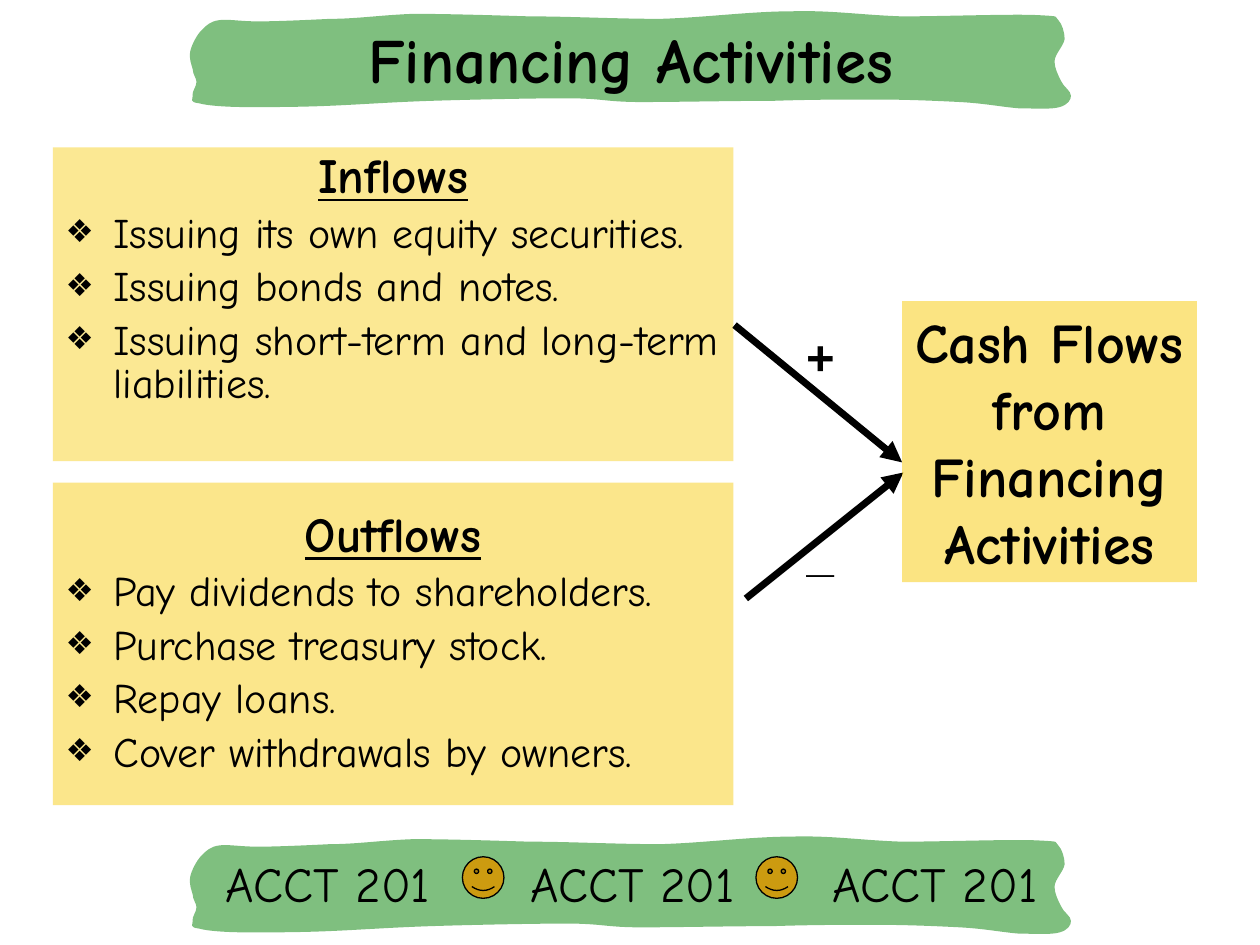
from lxml.etree import SubElement
from pptx import Presentation
from pptx.dml.color import RGBColor
from pptx.enum.shapes import MSO_CONNECTOR, MSO_SHAPE
from pptx.enum.text import MSO_ANCHOR, MSO_AUTO_SIZE, PP_ALIGN
from pptx.oxml.ns import qn
from pptx.util import Inches, Pt

BLACK = RGBColor(0x00, 0x00, 0x00)
GREEN = RGBColor(0x00, 0x80, 0x00)
YELLOW = RGBColor(0xF8, 0xCB, 0x0A)
GOLD = RGBColor(0xCC, 0x9B, 0x10)
FONT = "Comic Neue"

# Banner outline in inches from its corner: a start, then cubic curves
START = (5.45, 0.71)
CURVES = [
    (5.2, 0.71, 4.95, 0.71, 4.64, 0.72), (4.33, 0.72, 3.86, 0.73, 3.59, 0.73),
    (3.31, 0.73, 3.28, 0.7, 3.0, 0.7), (2.73, 0.7, 2.25, 0.71, 1.93, 0.72),
    (1.62, 0.73, 1.35, 0.75, 1.11, 0.76), (0.87, 0.77, 0.65, 0.77, 0.48, 0.77),
    (0.31, 0.77, 0.15, 0.76, 0.08, 0.74), (0.0, 0.73, 0.03, 0.71, 0.03, 0.68),
    (0.02, 0.65, 0.06, 0.61, 0.06, 0.57), (0.06, 0.54, 0.03, 0.51, 0.03, 0.47),
    (0.02, 0.43, 0.0, 0.39, 0.01, 0.33), (0.02, 0.28, 0.06, 0.2, 0.1, 0.16),
    (0.14, 0.12, 0.17, 0.09, 0.24, 0.08), (0.31, 0.07, 0.4, 0.09, 0.55, 0.09),
    (0.69, 0.09, 0.91, 0.08, 1.12, 0.07), (1.33, 0.07, 1.52, 0.04, 1.78, 0.03),
    (2.04, 0.03, 2.37, 0.04, 2.7, 0.05), (3.02, 0.05, 3.39, 0.07, 3.74, 0.07),
    (4.09, 0.06, 4.46, 0.01, 4.78, 0.01), (5.1, 0.0, 5.34, 0.04, 5.66, 0.05),
    (5.99, 0.05, 6.53, 0.03, 6.73, 0.04), (6.94, 0.05, 6.86, 0.05, 6.9, 0.08),
    (6.93, 0.11, 6.95, 0.18, 6.95, 0.23), (6.94, 0.29, 6.87, 0.35, 6.87, 0.41),
    (6.87, 0.46, 6.9, 0.52, 6.92, 0.56), (6.94, 0.61, 7.0, 0.64, 7.0, 0.68),
    (7.0, 0.71, 6.98, 0.75, 6.91, 0.77), (6.84, 0.79, 6.72, 0.78, 6.59, 0.78),
    (6.46, 0.77, 6.31, 0.74, 6.12, 0.73), (5.93, 0.72, 5.69, 0.71, 5.45, 0.71),
]


def place(shape, left, top, width, height):
    shape.left, shape.top = Inches(left), Inches(top)
    shape.width, shape.height = Inches(width), Inches(height)


def paint(shape, color, alpha):
    """Fill with a see-through colour and no line."""
    shape.fill.solid()
    shape.fill.fore_color.rgb = color
    tint = shape.fill._xPr.find(qn("a:solidFill"))[0]
    SubElement(tint, qn("a:alpha"), val=str(alpha * 1000))
    shape.line.fill.background()


def style(para, size, gap, bold=False, align=PP_ALIGN.CENTER, font=FONT):
    para.alignment = align
    para.space_before = Pt(gap)
    for run in para.runs:
        run.font.name = font
        run.font.size = Pt(size)
        run.font.bold = bold
        run.font.color.rgb = BLACK


def set_frame(shape, anchor=MSO_ANCHOR.TOP):
    frame = shape.text_frame
    frame.word_wrap = True
    frame.auto_size = MSO_AUTO_SIZE.NONE
    frame.vertical_anchor = anchor
    return frame


def bend(shape):
    """Turn each three straight segments into one cubic curve."""
    path = shape._element.spPr.find(".//" + qn("a:path"))
    lines = path.findall(qn("a:lnTo"))
    for i in range(0, len(lines), 3):
        curve = SubElement(path, qn("a:cubicBezTo"))
        for line in lines[i:i + 3]:
            curve.append(line[0])
            path.remove(line)
    path.append(path.find(qn("a:close")))


def add_banner(shapes, left, top):
    pen = shapes.build_freeform(Inches(START[0]), Inches(START[1]))
    pen.add_line_segments([(Inches(c[i]), Inches(c[i + 1]))
                           for c in CURVES for i in (0, 2, 4)])
    banner = pen.convert_to_shape(Inches(left), Inches(top))
    bend(banner)
    banner.shadow.inherit = False
    paint(banner, GREEN, 50)
    return banner


def add_head(slide, left, top):
    banner = add_banner(slide.shapes, left, top)
    title = slide.shapes.title
    title._element.addprevious(banner._element)
    place(title, left + 0.17, top + 0.09, 6.67, 0.58)
    frame = set_frame(title, MSO_ANCHOR.MIDDLE)
    frame.text = "Financing Activities"
    style(frame.paragraphs[0], 36, 9, bold=True)


def add_foot(slide, left, top):
    shapes = slide.shapes.add_group_shape().shapes
    add_banner(shapes, left, top)
    box = shapes.add_textbox(
        *map(Inches, (left + 0.17, top + 0.09, 6.67, 0.58)))
    frame = set_frame(box, MSO_ANCHOR.MIDDLE)
    frame.text = "\t".join(["ACCT 201"] * 3)
    para = frame.paragraphs[0]
    style(para, 28, 7, align=PP_ALIGN.LEFT)
    props = para._p.get_or_add_pPr()
    props.set("marL", str(Inches(0.02)))
    tabs = SubElement(props, qn("a:tabLst"))
    for col in (1, 2):
        SubElement(tabs, qn("a:tab"), pos=str(Inches(0.02 + 2.4 * col)), algn="l")
    for x in (2.17, 4.5):
        face = shapes.add_shape(
            MSO_SHAPE.SMILEY_FACE,
            *map(Inches, (left + x, top + 0.17, 0.33, 0.33)))
        face.adjustments[0] = 0.093
        face.shadow.inherit = False
        face.fill.solid()
        face.fill.fore_color.rgb = GOLD
        face.line.color.rgb = BLACK
        face.line.width = Pt(0.75)


def add_flows(body, box, alpha, anchor, head, items):
    """Underlined heading over a bulleted list on a tinted panel."""
    place(body, *box)
    paint(body, YELLOW, alpha)
    frame = set_frame(body, anchor)
    frame.text = "\n".join([head, *items])
    for para in frame.paragraphs:
        first = para.text == head
        style(para, 28 if first else 24, 7 if first else 6, bold=first,
              align=PP_ALIGN.CENTER if first else PP_ALIGN.LEFT)
        para.line_spacing = 0.85
        props = para._p.get_or_add_pPr()
        props.set("marL", str(Inches(0.38)))
        props.set("indent", str(Inches(-0.38)))
        if first:
            para.runs[0].font.underline = True
            SubElement(props, qn("a:buNone"))
        else:
            tint = SubElement(props, qn("a:buClr"))
            SubElement(tint, qn("a:srgbClr"), val=str(BLACK))
            SubElement(props, qn("a:buSzPct"), val="75000")
            SubElement(props, qn("a:buChar"), char="❖")


def add_result(slide, *box):
    panel = slide.shapes.add_shape(MSO_SHAPE.RECTANGLE, *map(Inches, box))
    panel.shadow.inherit = False
    paint(panel, YELLOW, 51)
    frame = set_frame(panel)
    frame.text = "Cash Flows from Financing Activities"
    style(frame.paragraphs[0], 32, 20, bold=True)


def add_arrow(slide, start, end):
    arrow = slide.shapes.add_connector(
        MSO_CONNECTOR.STRAIGHT, *map(Inches, start + end))
    arrow.line.color.rgb = BLACK
    arrow.line.width = Pt(4)
    SubElement(arrow.line._get_or_add_ln(), qn("a:tailEnd"), type="triangle")
    SubElement(arrow._element.spPr, qn("a:effectLst"))


def add_sign(slide, text, left, top):
    box = slide.shapes.add_textbox(*map(Inches, (left, top, 0.52, 0.56)))
    frame = set_frame(box)
    frame.text = text
    style(frame.paragraphs[0], 28, 17.5, bold=True, font="Arial")


def main():
    deck = Presentation()
    deck.slide_width, deck.slide_height = Inches(10), Inches(7.5)
    slide = deck.slides.add_slide(deck.slide_layouts[3])
    gains, costs = slide.placeholders[1], slide.placeholders[2]
    add_head(slide, 1.5, 0.08)
    add_foot(slide, 1.5, 6.63)
    add_arrow(slide, (5.92, 4.75), (7.17, 3.75))
    add_arrow(slide, (5.83, 2.58), (7.16, 3.67))
    add_flows(gains, (0.42, 1.17, 5.4, 2.49), 44, MSO_ANCHOR.TOP, "Inflows", [
        "Issuing its own equity securities.",
        "Issuing bonds and notes.",
        "Issuing short-term and long-term liabilities."])
    add_flows(costs, (0.42, 3.83, 5.4, 2.56), 47, MSO_ANCHOR.MIDDLE, "Outflows", [
        "Pay dividends to shareholders.",
        "Purchase treasury stock.",
        "Repay loans.",
        "Cover withdrawals by owners."])
    add_result(slide, 7.16, 2.39, 2.34, 2.23)
    add_sign(slide, "+", 6.25, 2.54)
    add_sign(slide, "_", 6.25, 4.1)
    deck.save("out.pptx")


if __name__ == "__main__":
    main()
